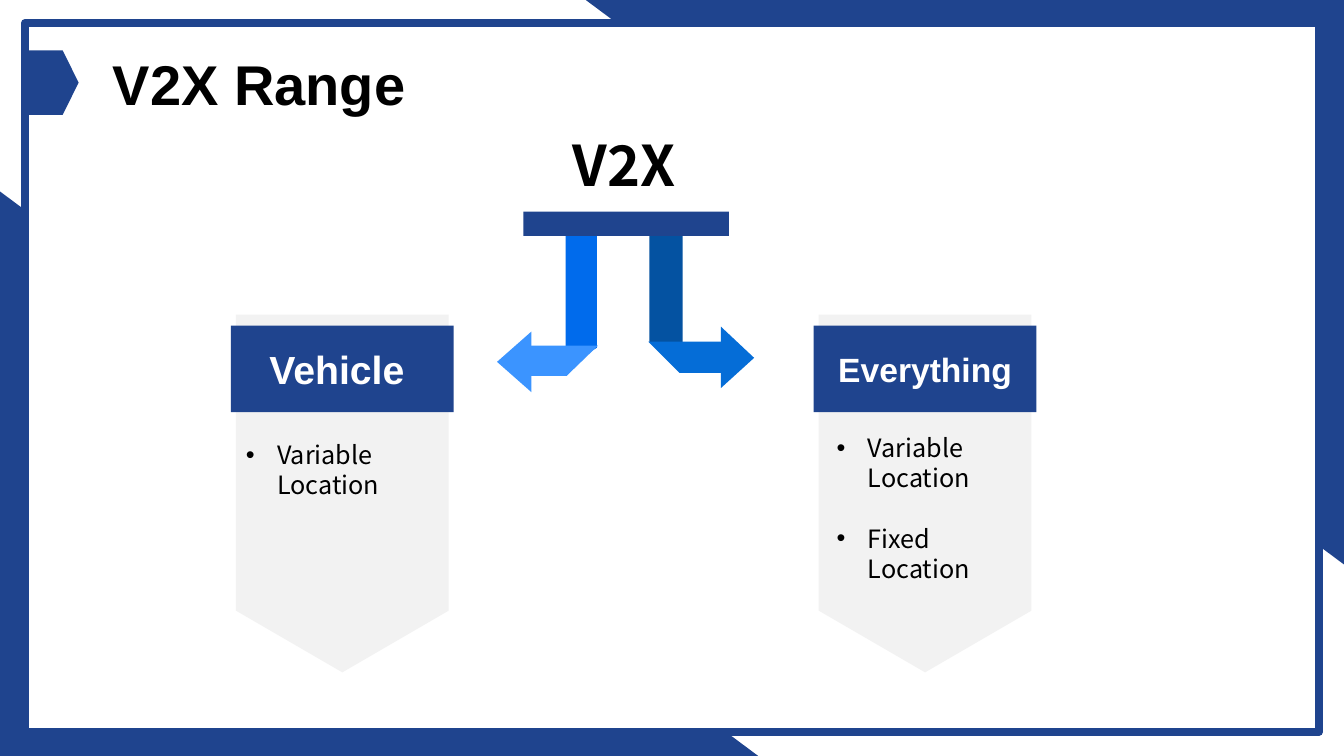
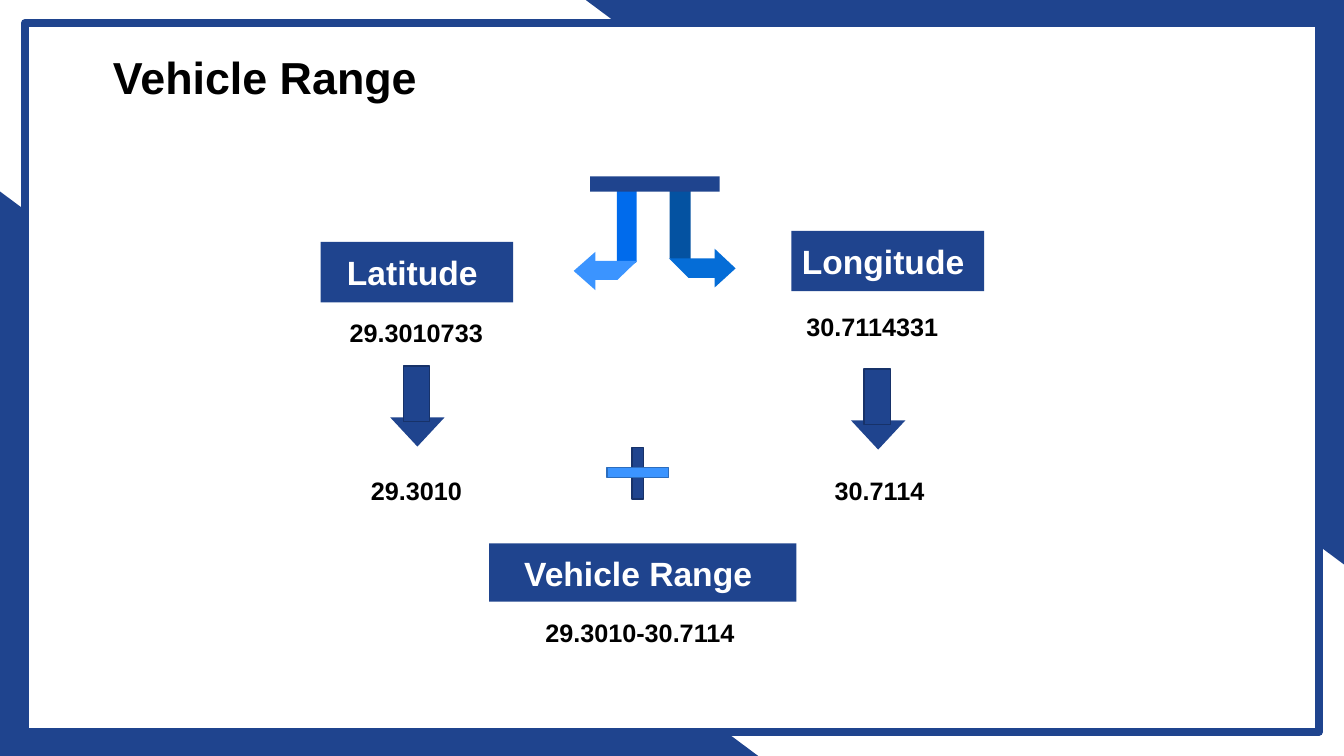
import pptx
import pptx.util
import pptx.dml.color
import pptx.enum.shapes
import pptx.enum.text
import pptx.oxml.ns
import lxml.etree

PX = 9144
SHAPE = pptx.enum.shapes.MSO_SHAPE
ALIGN = pptx.enum.text.PP_ALIGN
ANCHOR = pptx.enum.text.MSO_ANCHOR

COLORS = {
    "navy": "1F448E",
    "navy_edge": "173269",
    "white": "FFFFFF",
    "black": "000000",
    "pale": "F2F2F2",
    "bright": "006BEC",
    "deep": "0452A1",
    "medium": "056DD7",
    "light": "3B94FF",
    "light_edge": "2C6DBD",
}

SANS = "Arial"
CJK = "Noto Sans CJK SC"

FORK_PARTS = [
    ("bright", [(68, 155), (68, 16), (99, 16), (99, 135)]),
    ("deep", [(184, 146), (184, 13), (151, 13), (151, 129)]),
    ("medium", [(225, 129), (150, 129), (181, 160), (225, 160)]),
    ("medium", [(255, 145), (222, 175), (222, 114)]),
    ("light", [(30, 133), (100, 133), (69, 163), (30, 163)]),
    ("light", [(0, 149), (34, 179), (34, 119)]),
]


def color(name):
    return pptx.dml.color.RGBColor.from_string(COLORS[name])


class Deck:
    def __init__(self):
        self.deck = pptx.Presentation()
        self.deck.slide_width = 1333 * PX
        self.deck.slide_height = 750 * PX
        self.layout = self.deck.slide_layouts.get_by_name("Title Only")
        for holder in list(self.layout.placeholders):
            if holder.placeholder_format.idx:
                holder.element.getparent().remove(holder.element)
        self.page = None

    def add_page(self, title, size, width, height):
        first = self.page is None
        self.page = self.deck.slides.add_slide(self.layout)
        if first:
            self.frame()
        box = self.page.shapes.title
        self.place(box, 102, 44, width, height)
        box.text_frame.vertical_anchor = ANCHOR.TOP
        self.fill_text(box, [title], size)

    def frame(self):
        parts = [
            self.shape(SHAPE.RIGHT_TRIANGLE, 581, 0, 752, 560, "navy", turn=180),
            self.shape(SHAPE.RIGHT_TRIANGLE, 0, 190, 752, 560, "navy"),
            self.shape(SHAPE.RECTANGLE, 25, 23, 1283, 703, "white", "navy", 6),
        ]
        for position, part in enumerate(parts, 2):
            self.layout.shapes.element.insert(position, part.element)

    def place(self, box, left, top, width, height):
        values = {"left": left, "top": top, "width": width, "height": height}
        for name, value in values.items():
            setattr(box, name, value * PX)

    def paint(self, shape, fill, edge=None, weight=1):
        shape.shadow.inherit = False
        shape.fill.solid()
        shape.fill.fore_color.rgb = color(fill)
        if edge:
            shape.line.color.rgb = color(edge)
            shape.line.width = pptx.util.Pt(weight)
        else:
            shape.line.fill.background()
        return shape

    def shape(self, kind, left, top, width, height, fill, edge=None, weight=1,
              turn=0, point=None):
        sides = [round(value * PX) for value in (left, top, width, height)]
        shape = self.page.shapes.add_shape(kind, *sides)
        shape.rotation = turn
        if point is not None:
            shape.adjustments[0] = point
        return self.paint(shape, fill, edge, weight)

    def outline(self, left, top, points, fill, scale=1):
        spots = [(round((left + x * scale) * PX), round((top + y * scale) * PX))
                 for x, y in points]
        builder = self.page.shapes.build_freeform(*spots[0])
        builder.add_line_segments(spots[1:], close=True)
        return self.paint(builder.convert_to_shape(), fill)

    def group(self, parts):
        self.page.shapes.add_group_shape(parts)

    def fill_text(self, box, lines, size, font=SANS, ink="black", bold=True,
                  align=ALIGN.LEFT, bullet=False):
        values = {"name": font, "size": pptx.util.Pt(size), "bold": bold}
        leading = pptx.util.Pt(size * 1.2)
        frame = box.text_frame
        for number, line in enumerate(lines):
            para = frame.add_paragraph() if number else frame.paragraphs[0]
            para.alignment = align
            if font == CJK:
                para.line_spacing = leading
            if number:
                para.space_before = leading
            if bullet:
                self.bullet(para)
            span = para.add_run()
            span.text = line
            for name, value in values.items():
                setattr(span.font, name, value)
            span.font.color.rgb = color(ink)

    def bullet(self, para):
        properties = para._p.get_or_add_pPr()
        properties.set("marL", str(31 * PX))
        properties.set("indent", str(-31 * PX))
        for tag, name, value in (("a:buFont", "typeface", SANS), ("a:buChar", "char", "•")):
            mark = lxml.etree.SubElement(properties, pptx.oxml.ns.qn(tag))
            mark.set(name, value)

    def text(self, lines, left, top, width, height, size=18, wrap=True, **style):
        box = self.page.shapes.add_textbox(0, 0, 0, 0)
        self.place(box, left, top, width, height)
        box.text_frame.word_wrap = wrap
        self.fill_text(box, lines, size, **style)

    def label(self, text, left, top, width, height, size=24):
        box = self.shape(SHAPE.RECTANGLE, left, top, width, height, "navy")
        box.text_frame.vertical_anchor = ANCHOR.MIDDLE
        self.fill_text(box, [text], size, ink="white", align=ALIGN.CENTER)
        return box

    def fork(self, left, top, scale=1):
        parts = [self.outline(left, top, points, fill, scale)
                 for fill, points in FORK_PARTS]
        parts.append(self.shape(SHAPE.RECTANGLE, left + 26 * scale, top,
                                204 * scale, 24 * scale, "navy"))
        self.group(parts)

    def banner(self, text, left, size):
        self.group([
            self.shape(SHAPE.PENTAGON, left, 384, 355, 211, "pale", turn=90, point=0.29),
            self.label(text, left + 67, 323, 221, 86, size),
        ])

    def down_arrow(self, left, top):
        self.group([
            self.outline(left, top, [(27, 80), (54, 51), (0, 51)], "navy"),
            self.shape(SHAPE.RECTANGLE, left + 13, top, 26, 55, "navy", "navy_edge"),
        ])

    def plus(self, left, top):
        self.group([
            self.shape(SHAPE.RECTANGLE, left + 25, top, 11, 51, "navy", "navy_edge"),
            self.shape(SHAPE.RECTANGLE, left, top + 20, 61, 10, "light", "light_edge"),
        ])


def v2x_range(deck):
    deck.add_page("V2X Range", 40, 654, 77)
    deck.text(["V2X"], 558, 125, 126, 77, 40, font=CJK)
    deck.shape(SHAPE.PENTAGON, 28, 50, 50, 64, "navy", point=0.315)
    deck.fork(493, 210)
    deck.banner("Vehicle ", 162, 28)
    deck.banner("Everything", 740, 24)
    bullets = {"font": CJK, "bold": False, "bullet": True}
    deck.text(["Variable Location"], 234, 431, 164, 71, **bullets)
    deck.text(["Variable Location", "Fixed Location"], 820, 424, 194, 192, **bullets)


def vehicle_range(deck):
    deck.add_page("Vehicle Range", 32, 793, 64)
    deck.fork(569, 175, 0.63)
    for text, left, top, width, height in (
        ("Longitude ", 785, 229, 191, 60),
        ("Latitude ", 318, 240, 191, 60),
        ("Vehicle Range ", 485, 539, 305, 58),
    ):
        deck.label(text, left, top, width, height)
    for text, left, top, width, height in (
        ("29.3010733", 337, 310, 153, 40),
        ("30.7114331", 790, 304, 152, 40),
        ("29.3010", 358, 467, 111, 40),
        ("30.7114", 818, 467, 110, 40),
        ("29.3010-30.7114", 531, 607, 215, 71),
    ):
        deck.text([text], left, top, width, height, wrap=False)
    deck.down_arrow(844, 366)
    deck.down_arrow(387, 363)
    deck.plus(602, 444)


def main():
    deck = Deck()
    v2x_range(deck)
    vehicle_range(deck)
    deck.deck.save("out.pptx")


if __name__ == "__main__":
    main()
